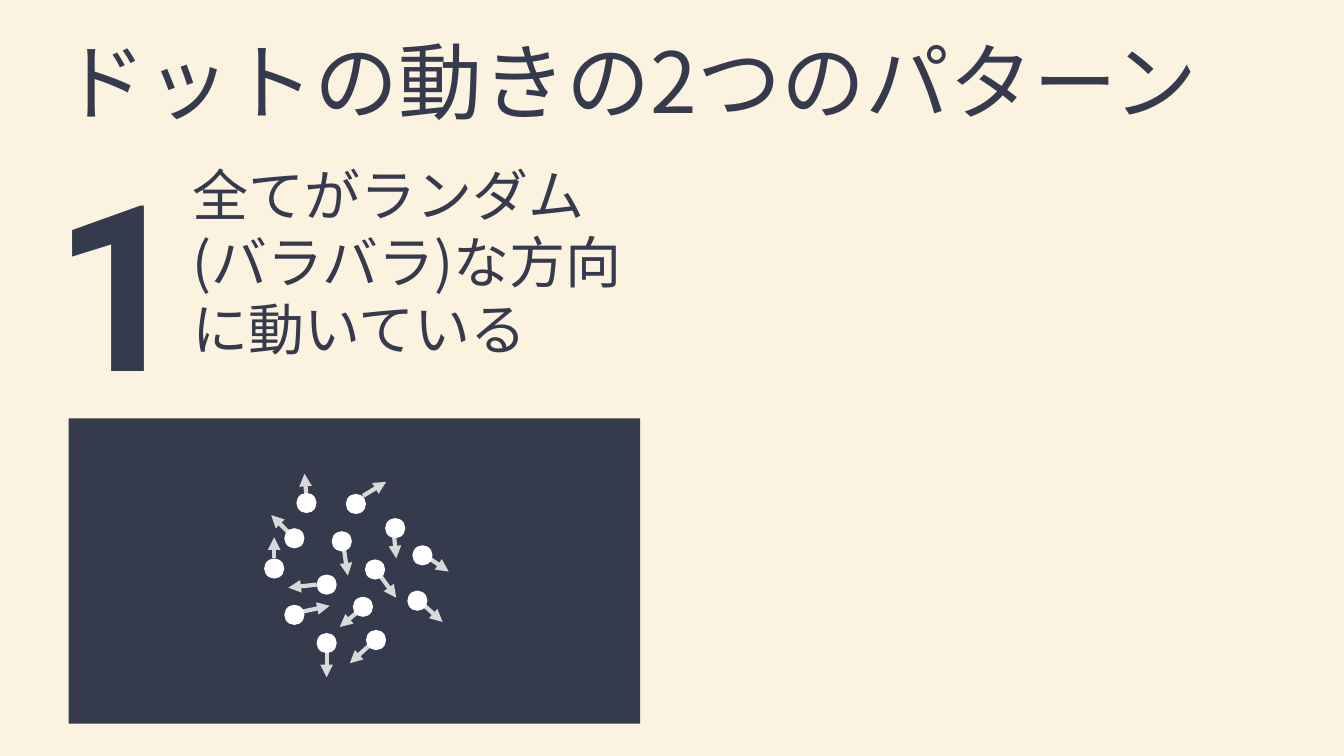
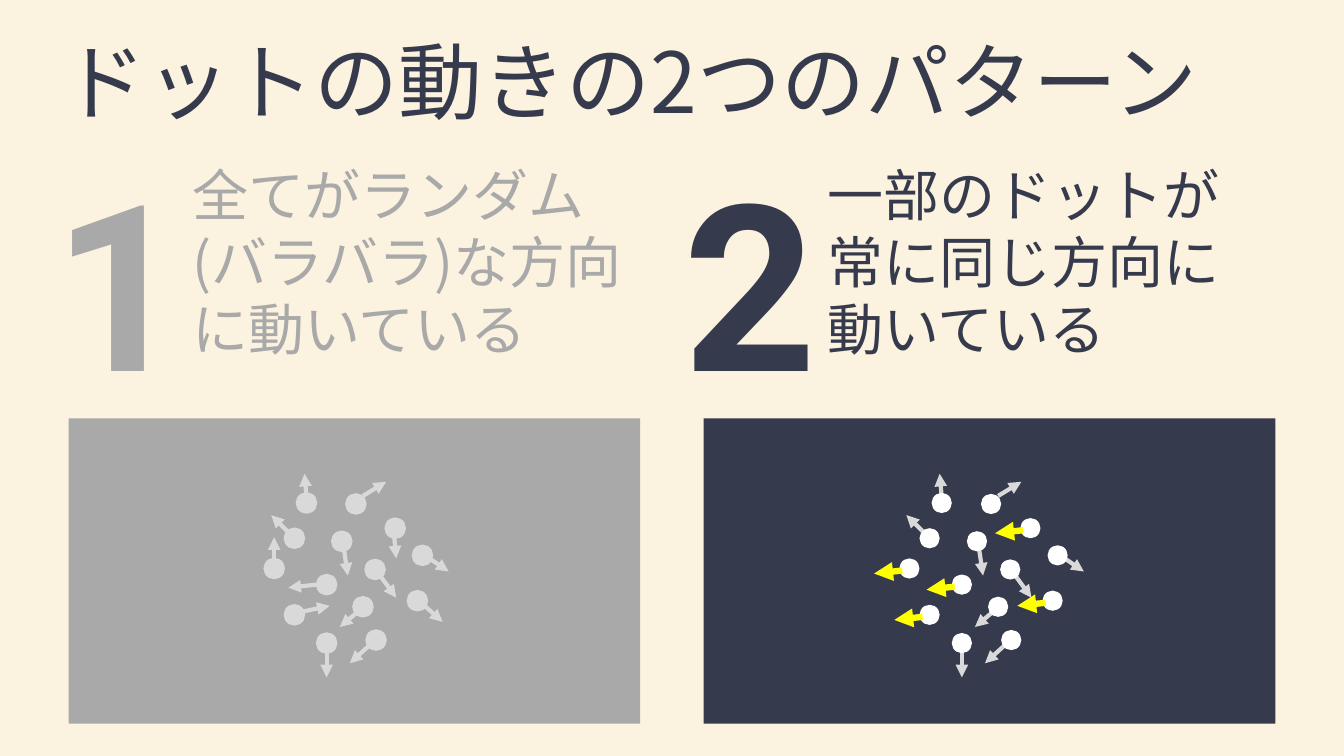
from dataclasses import dataclass

from pptx import Presentation
from pptx.dml.color import RGBColor
from pptx.enum.shapes import MSO_CONNECTOR, MSO_SHAPE
from pptx.enum.text import MSO_ANCHOR, MSO_AUTO_SIZE
from pptx.oxml.ns import qn
from pptx.util import Inches, Pt
from lxml.etree import SubElement

CREAM = RGBColor(0xFB, 0xF2, 0xDF)
NAVY = RGBColor(0x36, 0x3A, 0x4D)
MUTED = RGBColor(0xA9, 0xA9, 0xA9)
SILVER = RGBColor(0xD9, 0xD9, 0xD9)
WHITE = RGBColor(0xFF, 0xFF, 0xFF)
YELLOW = RGBColor(0xFF, 0xFF, 0x00)

JAPANESE_FONT = "Noto Sans CJK JP"
NUMBER_FONT = "Roboto"
TITLE = "ドットの動きの2つのパターン"

DOT_SIZE = 0.2
# Each dot: its left and top, then its arrow's start and end, within the panel.
DOTS = [
    ((2.95, 2.10), (3.03, 2.21), (2.79, 2.43)),
    ((1.94, 1.39), (2.04, 1.39), (2.04, 1.18)),
    ((2.14, 1.09), (2.17, 1.12), (2.01, 0.96)),
    ((3.14, 0.99), (3.23, 1.18), (3.25, 1.39)),
    ((2.75, 0.75), (2.92, 0.77), (3.15, 0.63)),
    ((2.46, 1.55), (2.46, 1.65), (2.18, 1.68)),
    ((2.61, 1.12), (2.73, 1.29), (2.77, 1.56)),
    ((2.14, 1.85), (2.31, 1.92), (2.59, 1.86)),
    ((2.94, 1.40), (3.09, 1.56), (3.25, 1.78)),
    ((3.36, 1.71), (3.52, 1.85), (3.71, 2.02)),
    ((2.82, 1.77), (2.88, 1.91), (2.69, 2.07)),
    ((2.26, 0.74), (2.36, 0.78), (2.34, 0.55)),
    ((2.46, 2.13), (2.56, 2.29), (2.56, 2.57)),
    ((3.41, 1.26), (3.58, 1.39), (3.77, 1.52)),
]
SHARED_START = (0.03, 0.12)
SHARED_MOVE = (-0.28, 0.03)


@dataclass(frozen=True)
class Pattern:
    """One motion pattern: its column, wording and the dots that move together."""
    number: str
    wording: str
    left: float
    number_left: float
    together: tuple = ()


RANDOM = Pattern("1", "全てがランダム\v(バラバラ)な方向に動いている", 0.68, 0.43)
COHERENT = Pattern("2", "一部のドットが\v常に同じ方向に\v動いている", 6.98, 6.68,
                   together=(1, 3, 5, 7, 9))


def add_text(page, box, text, *, size, font=JAPANESE_FONT, color=NAVY, bold=False,
             anchor=MSO_ANCHOR.TOP, spacing=None, grow=False):
    """Place wrapped text in a box of left, top, width and height."""
    frame = page.shapes.add_textbox(*map(Inches, box)).text_frame
    frame.word_wrap = True
    frame.auto_size = MSO_AUTO_SIZE.SHAPE_TO_FIT_TEXT if grow else MSO_AUTO_SIZE.NONE
    frame.vertical_anchor = anchor
    para = frame.paragraphs[0]
    para.text = text
    if spacing:
        para.line_spacing = spacing
    for span in para.runs:
        span.font.size = Pt(size)
        span.font.bold = bold
        span.font.name = font
        span.font.color.rgb = color
        SubElement(span.font._element, qn("a:ea"), typeface=font)


def add_figure(page, kind, box, fill, outline=None):
    """Place a filled preset shape, with a one-point outline if given."""
    shape = page.shapes.add_shape(kind, *map(Inches, box))
    shape.shadow.inherit = False
    shape.fill.solid()
    shape.fill.fore_color.rgb = fill
    if outline is None:
        shape.line.fill.background()
    else:
        shape.line.color.rgb = outline
        shape.line.width = Pt(1)


def add_arrow(page, start, end, color=SILVER, width=3):
    """Draw a straight arrow from start to end."""
    arrow = page.shapes.add_connector(MSO_CONNECTOR.STRAIGHT, *map(Inches, start + end))
    arrow.line.color.rgb = color
    arrow.line.width = Pt(width)
    SubElement(arrow.line._get_or_add_ln(), qn("a:tailEnd"), type="triangle")
    SubElement(arrow._element.spPr, qn("a:effectLst"))


def shift(point, offset):
    """Move a point by an offset."""
    return point[0] + offset[0], point[1] + offset[1]


def add_dot_panel(page, box, together, muted):
    """Draw the panel of moving dots inside the box."""
    corner = box[:2]
    add_figure(page, MSO_SHAPE.RECTANGLE, box, MUTED if muted else NAVY)
    for index, (_, start, end) in enumerate(DOTS):
        if index not in together:
            add_arrow(page, shift(corner, start), shift(corner, end))
    for dot, _, _ in DOTS:
        add_figure(page, MSO_SHAPE.OVAL, shift(corner, dot) + (DOT_SIZE, DOT_SIZE),
                   SILVER if muted else WHITE, SILVER if muted else None)
    for index in together:
        start = shift(shift(corner, DOTS[index][0]), SHARED_START)
        add_arrow(page, start, shift(start, SHARED_MOVE), YELLOW, 4.5)


def add_pattern(page, pattern, muted=False):
    """Place a pattern's number, wording and dot panel in its column."""
    color = MUTED if muted else NAVY
    add_dot_panel(page, (pattern.left, 4.15, 5.67, 3.03), pattern.together, muted)
    add_text(page, (pattern.left + 1.13, 1.54, 4.87, 2.12), pattern.wording,
             size=40, color=color, grow=True)
    add_text(page, (pattern.number_left, 1.33, 0.98, 2.89), pattern.number,
             size=166, font=NUMBER_FONT, color=color, bold=True, grow=True)


def add_page(deck):
    """Add a page with the shared background and title."""
    page = deck.slides.add_slide(deck.slide_layouts[6])
    page.background.fill.solid()
    page.background.fill.fore_color.rgb = CREAM
    add_text(page, (0.52, 0.32, 12.28, 1.07), TITLE, size=60,
             anchor=MSO_ANCHOR.MIDDLE, spacing=0.9)
    return page


def main():
    """Build and save the deck."""
    deck = Presentation()
    deck.slide_width, deck.slide_height = Inches(13.33), Inches(7.5)
    add_pattern(add_page(deck), RANDOM)
    comparison = add_page(deck)
    add_pattern(comparison, RANDOM, muted=True)
    add_pattern(comparison, COHERENT)
    deck.save("out.pptx")


main()
